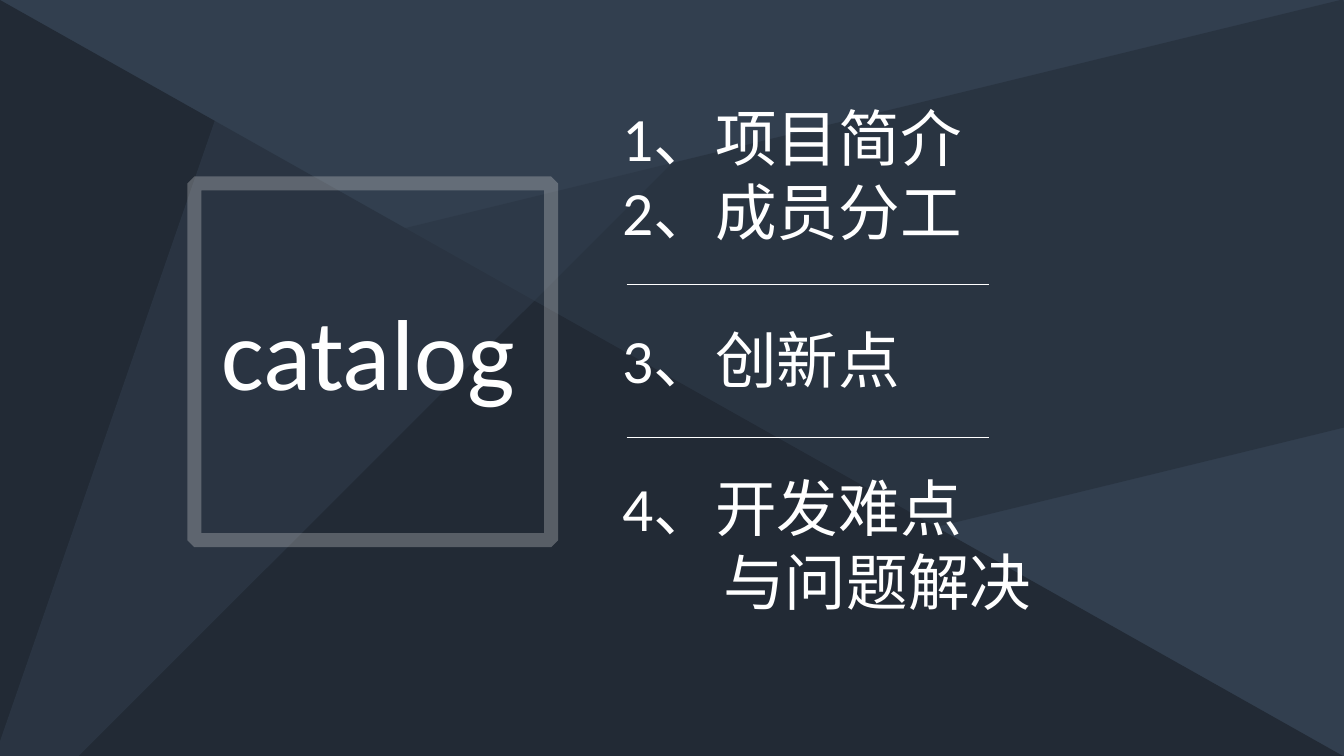
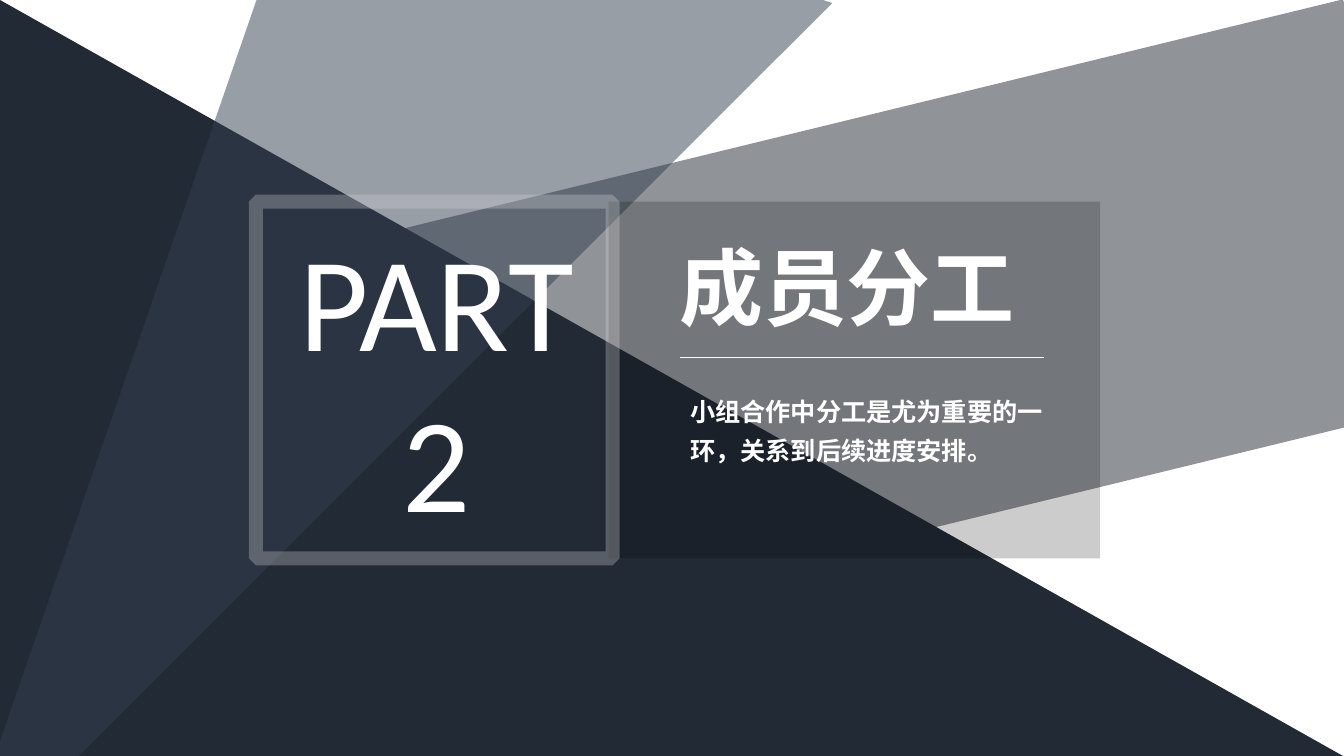
import pptx
import pptx.dml.color
import pptx.enum.shapes
import pptx.enum.text
import pptx.oxml
import pptx.oxml.ns
import pptx.util

SCALE = 9144  # EMU in one px, 100 px to the inch
NAVY, SLATE, WHITE, BLACK, SILVER = "222A35", "323F4F", "FFFFFF", "000000", "D8D8D8"
LATIN, HAN = "Calibri", "Noto Sans CJK SC"
KINDS = pptx.enum.shapes.MSO_SHAPE
ALIGN = pptx.enum.text.PP_ALIGN
FRAME = 354  # side of the square frame


def px(num):
    return pptx.util.Emu(num * SCALE)


def color(code):
    return pptx.dml.color.RGBColor.from_string(code)


def apply(item, **values):
    for name, value in values.items():
        setattr(item, name, value)


def node(tag, **attrs):
    item = pptx.oxml.parse_xml(f"<a:{tag} {pptx.oxml.ns.nsdecls('a')}/>")
    for name, value in attrs.items():
        item.set(name, str(value))
    return item


def paint(fill, code, props, route, alpha):
    """Fill with a colour of alpha percent; route leads from props to it."""
    fill.solid()
    fill.fore_color.rgb = color(code)
    if alpha < 100:
        tone = props.xpath(route + "a:solidFill/a:srgbClr")[0]
        tone.append(node("alpha", val=alpha * 1000))


def block(slide, kind, box, code, alpha=100, turn=0, adjust=None):
    shape = slide.shapes.add_shape(kind, *map(px, box))
    shape.shadow.inherit = False
    shape.rotation = turn
    if adjust is not None:
        shape.adjustments[0] = adjust
    paint(shape.fill, code, shape._element.spPr, "", alpha)
    shape.line.fill.background()


def frame(slide, left, top):
    shape = slide.shapes.add_shape(KINDS.RECTANGLE, *map(px, (left, top, FRAME, FRAME)))
    shape.shadow.inherit = False
    shape.fill.background()
    shape.line.width = pptx.util.Pt(10)
    paint(shape.line.fill, SILVER, shape._element.spPr, "a:ln/", 30)
    shape._element.spPr.xpath("a:ln")[0].append(node("bevel"))


def rule(slide, left, top, width):
    line = slide.shapes.add_connector(
        pptx.enum.shapes.MSO_CONNECTOR.STRAIGHT,
        *map(px, (left, top, left + width, top)))
    line.line.width = pptx.util.Pt(0.5)
    line.line.color.rgb = color(WHITE)
    line._element.spPr.append(node("effectLst"))


def write(shape, box, lines, face, size, bold=False, align=ALIGN.LEFT, space=1.0):
    """Place a text shape on top; a line is (text, points before, indent px)."""
    left, top, width, height = map(px, box)
    apply(shape, left=left, top=top, width=width, height=height)
    shape._element.getparent().append(shape._element)
    text = shape.text_frame
    apply(text, word_wrap=True, auto_size=pptx.enum.text.MSO_AUTO_SIZE.NONE,
          vertical_anchor=pptx.enum.text.MSO_ANCHOR.TOP)
    text.text = "\n".join(words for words, _, _ in lines)
    for para, (_, before, indent) in zip(text.paragraphs, lines):
        apply(para, alignment=align, line_spacing=space,
              space_before=pptx.util.Pt(before))
        props = para._p.get_or_add_pPr()
        props.set("marL", str(px(indent)))
        props.set("indent", "0")
        props.append(node("buNone"))
        for run in para.runs:
            apply(run.font, name=face, size=pptx.util.Pt(size), bold=bold)
            run.font.color.rgb = color(WHITE)
            run._r.get_or_add_rPr().append(node("ea", typeface=face))


def label(slide, box, lines, size):
    shape = slide.shapes.add_textbox(*map(px, box))
    write(shape, box, lines, LATIN, size, align=ALIGN.CENTER)


def start(deck, back):
    """Add a slide with its background colour and the shared facets."""
    slide = deck.slides.add_slide(deck.slide_layouts[1])
    slide.background.fill.solid()
    slide.background.fill.fore_color.rgb = color(back)
    block(slide, KINDS.ISOSCELES_TRIANGLE, (0, 0, 1333, 750), NAVY, adjust=0)
    block(slide, KINDS.PARALLELOGRAM, (-71, 168, 1474, 413), NAVY, 50, 346.3, -0.037)
    block(slide, KINDS.ISOSCELES_TRIANGLE, (118, -116, 541, 1112), SLATE, 50, 199.1, 1)
    return slide


def agenda(deck):
    slide = start(deck, SLATE)
    frame(slide, 193, 182)
    write(slide.shapes.title, (207, 282, 317, 130), [("catalog", 0, 0)],
          LATIN, 72, align=ALIGN.CENTER)
    topics = [("1、项目简介", 0, 0), ("2、成员分工", 0, 0), ("3、创新点", 53, 0),
              ("4、开发难点", 53, 0), ("与问题解决", 0, 100)]
    write(slide.placeholders[1], (608, 94, 663, 523), topics, LATIN, 44)
    for top in (282, 434):
        rule(slide, 622, top, 360)


def part(deck):
    slide = start(deck, WHITE)
    block(slide, KINDS.RECTANGLE, (604, 200, 488, FRAME), BLACK, 20)
    frame(slide, 254, 200)
    label(slide, (275, 210, 317, 330), [("PART", 0, 0), ("2", 0, 0)], 96)
    write(slide.shapes.title, (664, 229, 376, 110), [("成员分工", 0, 0)],
          HAN, 60, bold=True)
    rule(slide, 675, 355, 361)
    write(slide.placeholders[1], (675, 379, 382, 88),
          [("小组合作中分工是尤为重要的一环，关系到后续进度安排。", 0, 0)],
          HAN, 18, bold=True, space=1.3)


def main():
    deck = pptx.Presentation()
    apply(deck, slide_width=px(1334), slide_height=px(750))
    agenda(deck)
    part(deck)
    deck.save("out.pptx")


if __name__ == "__main__":
    main()
